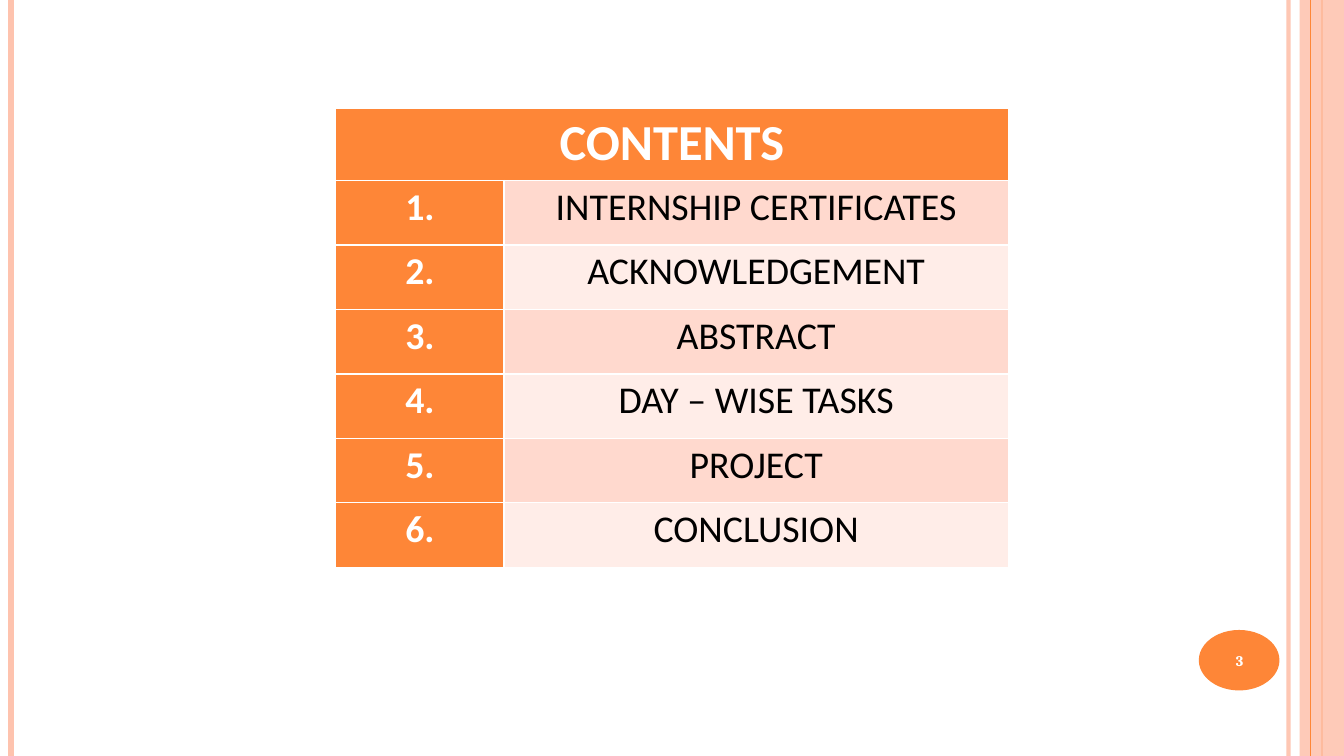
from dataclasses import dataclass
from lxml import etree
from pptx import Presentation
from pptx.dml.color import RGBColor
from pptx.enum.shapes import MSO_CONNECTOR, MSO_SHAPE
from pptx.enum.text import MSO_ANCHOR, PP_ALIGN
from pptx.oxml.ns import qn
from pptx.util import Inches, Pt

STRAIGHT = MSO_CONNECTOR.STRAIGHT
RECT, OVAL = MSO_SHAPE.RECTANGLE, MSO_SHAPE.OVAL
CENTER, MIDDLE = PP_ALIGN.CENTER, MSO_ANCHOR.MIDDLE


@dataclass(frozen=True)
class Theme:
    accent: str = "FE8637"
    pale: str = "FEC3AE"
    bands: tuple[str, str] = ("FFD9CE", "FFEDE8")
    white: str = "FFFFFF"
    black: str = "000000"
    body_font: str = "Calibri"
    number_font: str = "Cambria"
    heading_size: float = 36
    body_size: float = 27
    number_size: float = 10.5


@dataclass(frozen=True)
class Rule:
    x: float
    color: str
    width: float
    opacity: int = 100


@dataclass(frozen=True)
class CellSpec:
    text: str
    fill: str
    color: str
    size: float
    bold: bool = True


THEME = Theme()
WIDTH, HEIGHT = 13.33, 7.5
TABLE_X = 3.33
BACK_RULES = [
    Rule(12.78, THEME.pale, 3, 93),
    Rule(0.11, THEME.pale, 4.5),
    Rule(13.11, THEME.accent, 1.5),
]
FRONT_RULE = Rule(13, THEME.accent, 0.75)
TOPICS = ["INTERNSHIP CERTIFICATES", "ACKNOWLEDGEMENT", "ABSTRACT",
          "DAY – WISE TASKS", "PROJECT", "CONCLUSION"]


def set_opacity(element, percent: int) -> None:
    color = next(element.iter(qn("a:srgbClr")))
    etree.SubElement(color, qn("a:alpha"), val=str(percent * 1000))


def add_rule(s, rule: Rule) -> None:
    x = Inches(rule.x)
    line = s.shapes.add_connector(STRAIGHT, x, 0, x, Inches(HEIGHT))
    line.line.color.rgb = RGBColor.from_string(rule.color)
    line.line.width = Pt(rule.width)
    sp_pr = line._element.spPr
    if rule.opacity < 100:
        set_opacity(sp_pr, rule.opacity)
    etree.SubElement(sp_pr, qn("a:effectLst"))


def add_filled(s, kind, x: float, y: float, w: float, h: float, color: str):
    sp = s.shapes.add_shape(kind, Inches(x), Inches(y), Inches(w), Inches(h))
    sp.shadow.inherit = False
    sp.fill.solid()
    sp.fill.fore_color.rgb = RGBColor.from_string(color)
    sp.line.fill.background()
    return sp


def write(tf, text: str, color: str, **font) -> None:
    p = tf.paragraphs[0]
    p.alignment = CENTER
    r = p.add_run()
    r.text = text
    for name, value in font.items():
        setattr(r.font, name, value)
    r.font.color.rgb = RGBColor.from_string(color)


def add_border(cell, side: str, width: float) -> None:
    tc_pr = cell._tc.get_or_add_tcPr()
    line = etree.SubElement(tc_pr, qn(f"a:ln{side}"), w=str(Pt(width)))
    fill = etree.SubElement(line, qn("a:solidFill"))
    etree.SubElement(fill, qn("a:srgbClr"), val=THEME.white)


def format_cell(cell, spec: CellSpec, bottom: float) -> None:
    layout = {"margin_left": Inches(0.07), "margin_right": Inches(0.07),
              "margin_top": Inches(0.04), "margin_bottom": Inches(0.04)}
    for name, value in layout.items():
        setattr(cell, name, value)
    for side, width in {"L": 1, "R": 1, "T": 1, "B": bottom}.items():
        add_border(cell, side, width)
    cell.fill.solid()
    cell.fill.fore_color.rgb = RGBColor.from_string(spec.fill)
    write(cell.text_frame, spec.text, spec.color, name=THEME.body_font,
          size=Pt(spec.size), bold=spec.bold)


def add_grid(s, y: float, widths: list[float], row_height: float,
             rows: list[list[CellSpec]], bottom: float = 1) -> None:
    table = s.shapes.add_table(
        len(rows), len(widths), Inches(TABLE_X), Inches(y),
        Inches(sum(widths)), Inches(row_height * len(rows))).table
    table.first_row = table.horz_banding = False
    for column, width in zip(table.columns, widths):
        column.width = Inches(width)
    for row, specs in zip(table.rows, rows):
        row.height = Inches(row_height)
        for cell, spec in zip(row.cells, specs):
            format_cell(cell, spec, bottom)


def topic_row(index: int, topic: str) -> list[CellSpec]:
    return [
        CellSpec(f"{index + 1}.", THEME.accent, THEME.white, THEME.body_size),
        CellSpec(topic, THEME.bands[index % 2], THEME.black, THEME.body_size, False),
    ]


def add_page_number(s, number: str) -> None:
    add_filled(s, OVAL, 11.89, 6.25, 0.8, 0.6, THEME.accent)
    box = s.shapes.add_textbox(Inches(11.85), Inches(6.27), Inches(0.89), Inches(0.57))
    tf = box.text_frame
    tf.word_wrap = True
    tf.vertical_anchor = MIDDLE
    write(tf, number, THEME.white, name=THEME.number_font,
          size=Pt(THEME.number_size), bold=True)


def main() -> None:
    prs = Presentation()
    prs.slide_width, prs.slide_height = Inches(WIDTH), Inches(HEIGHT)
    s = prs.slides.add_slide(prs.slide_layouts[6])
    for rule in BACK_RULES:
        add_rule(s, rule)
    band = add_filled(s, RECT, 12.89, 0, 0.44, HEIGHT, THEME.pale)
    set_opacity(band._element.spPr, 87)
    add_rule(s, FRONT_RULE)
    heading = CellSpec("CONTENTS", THEME.accent, THEME.white, THEME.heading_size)
    add_grid(s, 1.08, [6.67], 0.72, [[heading]], bottom=3)
    add_grid(s, 1.79, [1.67, 5], 0.64,
             [topic_row(i, topic) for i, topic in enumerate(TOPICS)])
    add_page_number(s, "3")
    prs.save("out.pptx")


if __name__ == "__main__":
    main()
